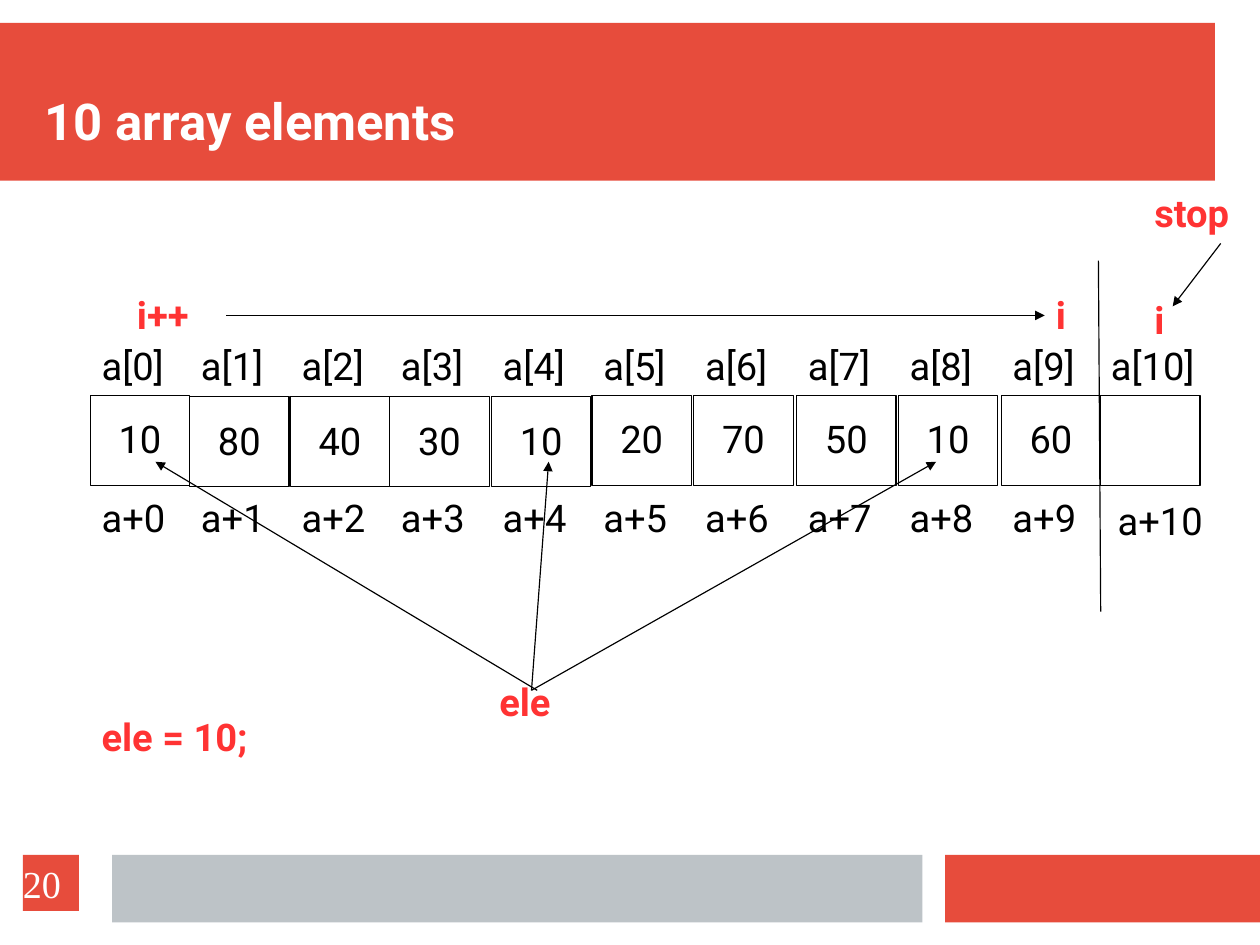
from dataclasses import dataclass

from lxml.etree import SubElement
from pptx import Presentation
from pptx.dml.color import RGBColor
from pptx.enum.shapes import MSO_CONNECTOR as Connector, MSO_SHAPE as Preset
from pptx.enum.text import MSO_ANCHOR as Anchor, MSO_AUTO_SIZE as AutoSize, PP_ALIGN as Align
from pptx.oxml.ns import qn
from pptx.shapes.autoshape import Shape
from pptx.slide import Slide
from pptx.text.text import TextFrame
from pptx.util import Inches, Pt

COLORS = {
    "red": "E74C3C",
    "gray": "BDC3C7",
    "white": "FFFFFF",
    "black": "000000",
    "accent": "FF3333",
}
FONT = "Roboto"
CM_PER_INCH = 2.54
PAGE_WIDTH, PAGE_HEIGHT = 28 / CM_PER_INCH, 21 / CM_PER_INCH
CELL_WIDTH, CELL_HEIGHT, CELL_TOP = 0.87, 0.79, 3.46
INDEX_TOP, ADDRESS_TOP, LABEL_HEIGHT = 2.97, 4.3, 0.5


@dataclass
class Bar:
    left: float
    top: float
    width: float
    height: float
    color: str


@dataclass
class Cell:
    left: float
    value: str
    top: float = CELL_TOP


@dataclass
class Label:
    text: str
    left: float
    top: float
    width: float
    color: str = "accent"
    bold: bool = True


@dataclass
class Line:
    start: tuple[float, float]
    end: tuple[float, float]
    arrow: bool = True


BARS = [
    Bar(0, 0.2, 10.63, 1.38, "red"),
    Bar(8.27, 7.48, 2.76, 0.59, "red"),
    Bar(0.98, 7.48, 7.09, 0.59, "gray"),
]
NUMBER_BAR = Bar(0.2, 7.48, 0.49, 0.49, "red")
CELLS = [
    Cell(0.79, "10"), Cell(1.66, "80", 3.47), Cell(2.54, "40", 3.47),
    Cell(3.41, "30", 3.47), Cell(4.3, "10", 3.47), Cell(5.18, "20"),
    Cell(6.07, "70"), Cell(6.97, "50"), Cell(7.86, "10"), Cell(8.76, "60"),
]
END_CELL = Cell(9.63, "")
END_LABELS = [
    Label("a[10]", 9.62, INDEX_TOP, 1.09, "black", False),
    Label("a+10", 9.68, 4.33, 1.11, "black", False),
]
NOTES = [
    Label("i++", 1.1, 2.52, 0.87),
    Label("i", 9.14, 2.52, 0.31),
    Label("i", 10, 2.57, 0.31),
    Label("stop", 10, 1.63, 1.02),
    Label("ele = 10;", 0.79, 6.22, 1.88),
    Label("ele", 4.27, 5.91, 0.77),
]
LINES = [
    Line((1.98, 2.76), (9.14, 2.76)),
    Line((9.61, 2.28), (9.63, 5.35), arrow=False),
    Line((10.68, 2.13), (10.26, 2.68)),
    Line((4.7, 6.04), (1.36, 4.04)),
    Line((4.65, 6.04), (4.8, 4.04)),
    Line((4.65, 6.04), (8.19, 4.04)),
]


def rgb(name: str) -> RGBColor:
    return RGBColor.from_string(COLORS[name])


def set_text(frame: TextFrame, text: str, color: str, size: int = 24, bold: bool = False,
             font: str = FONT, align: Align = Align.LEFT, spacing: float = 0.97) -> None:
    frame.text = text
    para = frame.paragraphs[0]
    para.alignment = align
    para.line_spacing = spacing
    for span in para.runs:
        span.font.name = font
        span.font.size = Pt(size)
        span.font.bold = bold
        span.font.color.rgb = rgb(color)


def clear_margins(frame: TextFrame) -> None:
    frame.margin_left = frame.margin_right = frame.margin_top = frame.margin_bottom = 0


def add_bar(page: Slide, bar: Bar) -> Shape:
    box = page.shapes.add_shape(Preset.RECTANGLE, Inches(bar.left), Inches(bar.top),
                                Inches(bar.width), Inches(bar.height))
    box.shadow.inherit = False
    box.fill.solid()
    box.fill.fore_color.rgb = rgb(bar.color)
    box.line.fill.background()
    return box


def add_cell(page: Slide, cell: Cell) -> None:
    box = add_bar(page, Bar(cell.left, cell.top, CELL_WIDTH, CELL_HEIGHT, "white"))
    box.line.color.rgb = rgb("black")
    box.line.width = Pt(0.75)
    if cell.value:
        frame = box.text_frame
        frame.word_wrap = False
        frame.vertical_anchor = Anchor.MIDDLE
        set_text(frame, cell.value, "black", align=Align.CENTER)


def add_label(page: Slide, label: Label) -> None:
    box = page.shapes.add_textbox(Inches(label.left), Inches(label.top),
                                  Inches(label.width), Inches(LABEL_HEIGHT))
    box.text_frame.word_wrap = False
    set_text(box.text_frame, label.text, label.color, bold=label.bold)


def add_line(page: Slide, line: Line) -> None:
    points = [Inches(value) for value in (*line.start, *line.end)]
    connector = page.shapes.add_connector(Connector.STRAIGHT, *points)
    connector.line.color.rgb = rgb("black")
    connector.line.width = Pt(0.75)
    properties = connector.element.spPr
    if line.arrow:
        SubElement(properties.find(qn("a:ln")), qn("a:tailEnd"), type="triangle")
    SubElement(properties, qn("a:effectLst"))


def add_title(page: Slide) -> None:
    title = page.shapes.title
    title.left, title.top = Inches(0.39), Inches(0.39)
    title.width, title.height = Inches(10.19), Inches(0.94)
    frame = title.text_frame
    frame.word_wrap = True
    frame.auto_size = AutoSize.NONE
    frame.vertical_anchor = Anchor.BOTTOM
    clear_margins(frame)
    set_text(frame, "10 array elements", "white", size=32, bold=True)
    # Bring the title in front of the header bar
    title.element.getparent().append(title.element)


def add_page_number(page: Slide) -> None:
    frame = add_bar(page, NUMBER_BAR).text_frame
    frame.vertical_anchor = Anchor.MIDDLE
    clear_margins(frame)
    set_text(frame, "20", "white", font="Times New Roman", spacing=1.0)


def main() -> None:
    deck = Presentation()
    deck.slide_width, deck.slide_height = Inches(PAGE_WIDTH), Inches(PAGE_HEIGHT)
    page = deck.slides.add_slide(deck.slide_layouts[5])

    # Header and footer bars, title
    for bar in BARS:
        add_bar(page, bar)
    add_title(page)

    # Array cells with index above and address below
    for index, cell in enumerate(CELLS):
        add_cell(page, cell)
        add_label(page, Label(f"a[{index}]", cell.left, INDEX_TOP, 0.88, "black", False))
        add_label(page, Label(f"a+{index}", cell.left, ADDRESS_TOP, 0.89, "black", False))
    add_cell(page, END_CELL)

    # Labels past the end, notes and pointers
    for label in END_LABELS + NOTES:
        add_label(page, label)
    for line in LINES:
        add_line(page, line)

    add_page_number(page)
    deck.save("out.pptx")


if __name__ == "__main__":
    main()
